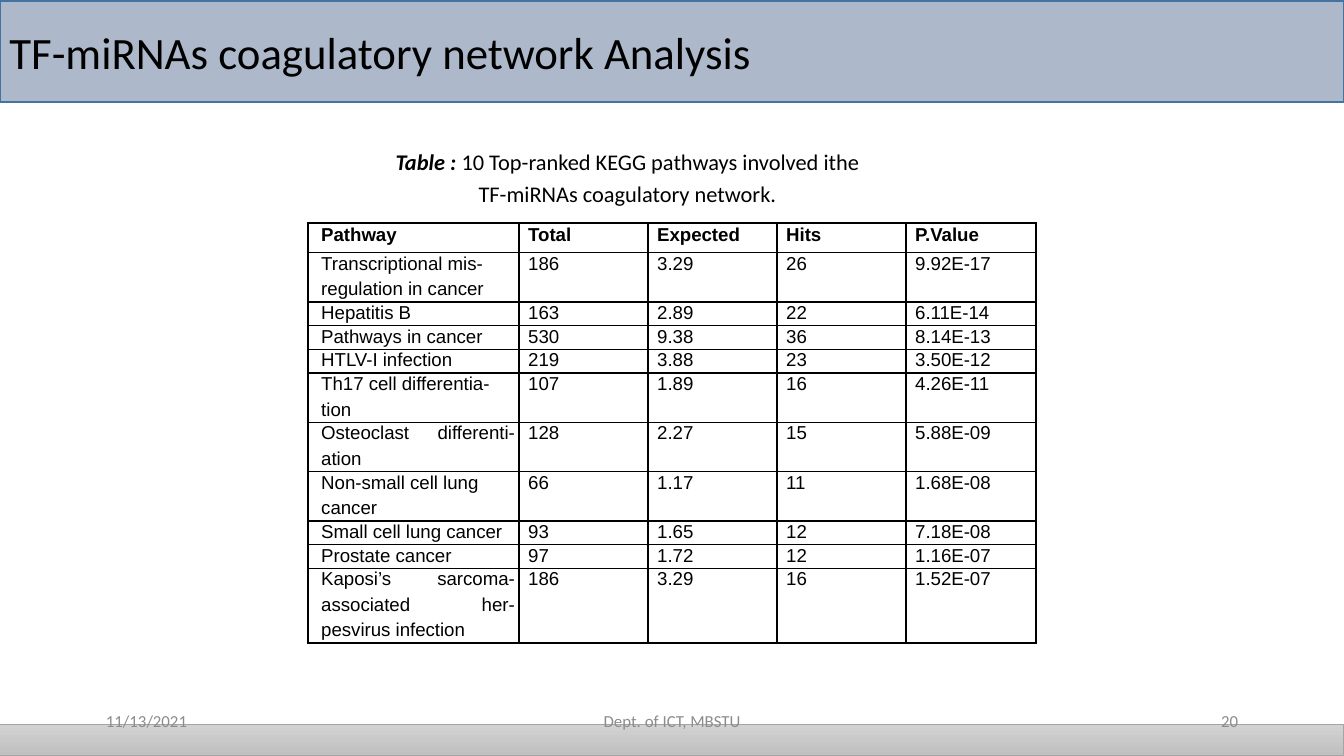
from dataclasses import dataclass

from lxml import etree
from pptx import Presentation
from pptx.dml.color import RGBColor
from pptx.enum.shapes import MSO_SHAPE
from pptx.enum.text import MSO_ANCHOR, PP_ALIGN
from pptx.oxml.ns import qn
from pptx.util import Inches, Pt

RECTANGLE = MSO_SHAPE.RECTANGLE
LEFT, CENTER, RIGHT = PP_ALIGN.LEFT, PP_ALIGN.CENTER, PP_ALIGN.RIGHT
TOP, MIDDLE, BOTTOM = MSO_ANCHOR.TOP, MSO_ANCHOR.MIDDLE, MSO_ANCHOR.BOTTOM
PLAIN_TABLE_STYLE = "{2D5ABB26-0587-4C30-8999-92F81FD0307C}"


@dataclass(frozen=True)
class Theme:
    ink: str = "000000"
    muted: str = "8C8C8C"
    band: str = "ADB9CA"
    band_line: str = "43739E"
    strip_top: str = "D2D2D2"
    strip_bottom: str = "C0C0C0"
    strip_line: str = "A5A5A5"
    body_font: str = "Calibri"
    table_font: str = "Arial"
    title_size: float = 24
    caption_size: float = 12
    table_size: float = 10
    footer_size: float = 9
    spacer_size: float = 1


@dataclass(frozen=True)
class Pathway:
    """Each name line is (start, end); an end is set flush right."""
    lines: tuple
    values: tuple
    bold: bool = False
    first_height: float = 0.16
    spacer_height: float = 0.01


@dataclass(frozen=True)
class Footer:
    text: str
    left: float
    width: float
    align: PP_ALIGN


THEME = Theme()
COLUMNS = (0.81, 0.76, 0.96, 0.96, 0.96, 0.97)
CONTINUATION_HEIGHT = 0.19

PATHWAYS = (
    Pathway((("Pathway", ""),), ("Total", "Expected", "Hits", "P.Value"),
            bold=True, first_height=0.17, spacer_height=0.05),
    Pathway((("Transcriptional mis-", ""), ("regulation in cancer", "")),
            ("186", "3.29", "26", "9.92E-17")),
    Pathway((("Hepatitis B", ""),), ("163", "2.89", "22", "6.11E-14")),
    Pathway((("Pathways in cancer", ""),), ("530", "9.38", "36", "8.14E-13")),
    Pathway((("HTLV-I infection", ""),), ("219", "3.88", "23", "3.50E-12")),
    Pathway((("Th17 cell differentia-", ""), ("tion", "")),
            ("107", "1.89", "16", "4.26E-11")),
    Pathway((("Osteoclast", "differenti-"), ("ation", "")),
            ("128", "2.27", "15", "5.88E-09")),
    Pathway((("Non-small cell lung", ""), ("cancer", "")),
            ("66", "1.17", "11", "1.68E-08")),
    Pathway((("Small cell lung cancer", ""),), ("93", "1.65", "12", "7.18E-08")),
    Pathway((("Prostate cancer", ""),), ("97", "1.72", "12", "1.16E-07")),
    Pathway((("Kaposi’s", "sarcoma-"), ("associated", "her-"),
             ("pesvirus infection", "")),
            ("186", "3.29", "16", "1.52E-07")),
)

FOOTERS = (
    Footer("11/13/2021", 0.69, 2.25, LEFT),
    Footer("20", 7.06, 2.25, RIGHT),
    Footer("Dept. of ICT, MBSTU", 3.31, 3.38, CENTER),
)


def color(value: str) -> RGBColor:
    return RGBColor.from_string(value)


def write(paragraph, text: str, *, size: float, font: str = THEME.body_font,
          ink: str = THEME.ink, bold: bool = False, italic: bool = False,
          align: PP_ALIGN = LEFT, indent: float = 0, right_indent: float = 0,
          spacing=None) -> None:
    paragraph.alignment = align
    for side, inset in (("marL", indent), ("marR", right_indent)):
        if inset:
            paragraph._p.get_or_add_pPr().set(side, str(Inches(inset)))
    if spacing:
        paragraph.line_spacing = spacing
    run = paragraph.add_run()
    run.text = text
    run.font.name, run.font.size = font, Pt(size)
    run.font.bold, run.font.italic = bold, italic
    run.font.color.rgb = color(ink)


def add_bar(slide, top: float, height: float, line: str, weight: float):
    bar = slide.shapes.add_shape(RECTANGLE, 0, Inches(top), Inches(10), Inches(height))
    bar.shadow.inherit = False
    bar.line.color.rgb, bar.line.width = color(line), Pt(weight)
    return bar


def add_text_box(slide, left: float, top: float, width: float, height: float,
                 anchor: MSO_ANCHOR):
    box = slide.shapes.add_textbox(Inches(left), Inches(top), Inches(width), Inches(height))
    box.text_frame.word_wrap = True
    box.text_frame.vertical_anchor = anchor
    return box.text_frame.paragraphs[0]


def format_cell(cell, ruled_sides: str) -> None:
    cell.margin_left = cell.margin_right = cell.margin_top = cell.margin_bottom = 0
    cell.vertical_anchor = BOTTOM
    properties = cell._tc.get_or_add_tcPr()
    for side in "LRTB":
        line = etree.SubElement(properties, qn(f"a:ln{side}"), w=str(Pt(1)))
        if side in ruled_sides:
            fill = etree.SubElement(line, qn("a:solidFill"))
            etree.SubElement(fill, qn("a:srgbClr"), val=THEME.ink)
        else:
            etree.SubElement(line, qn("a:noFill"))
    cell.fill.background()


def fill_row(table, row: int, texts: tuple, pathway: Pathway, first: bool, last: bool) -> None:
    edges = ("T" if first else "") + ("B" if last else "")
    joined = not texts[1]
    for column, text in enumerate(texts):
        cell = table.cell(row, column)
        sides = {0: "L", 1: "R"}.get(column, "LR")
        format_cell(cell, ("LR" if joined and column == 0 else sides) + edges)
        paragraph = cell.text_frame.paragraphs[0]
        if text:
            name_end = column == 1
            write(paragraph, text, size=THEME.table_size, font=THEME.table_font,
                  bold=pathway.bold, align=RIGHT if name_end else LEFT,
                  indent={0: 0.1, 1: 0}.get(column, 0.07),
                  right_indent=0.03 if name_end else 0,
                  spacing=Pt(11.4) if first and not pathway.bold else None)
        else:
            paragraph.line_spacing = Pt(THEME.spacer_size)
            etree.SubElement(paragraph._p, qn("a:endParaRPr"),
                             sz=str(int(THEME.spacer_size * 100)))
    if joined:
        table.cell(row, 0).merge(table.cell(row, 1))


def add_pathway_table(slide, left: float, top: float, height: float) -> None:
    row_count = sum(len(pathway.lines) + 1 for pathway in PATHWAYS)
    frame = slide.shapes.add_table(row_count, len(COLUMNS), Inches(left), Inches(top),
                                   Inches(sum(COLUMNS)), Inches(height))
    table = frame.table
    table.first_row = table.horz_banding = False
    table._tbl.tblPr.find(qn("a:tableStyleId")).text = PLAIN_TABLE_STYLE
    for column, width in zip(table.columns, COLUMNS):
        column.width = Inches(width)

    row = 0
    for pathway in PATHWAYS:
        blank = ("",) * len(pathway.values)
        # Name lines, then a thin spacer row that closes the group
        for index, name in enumerate((*pathway.lines, ("", ""))):
            first, last = index == 0, index == len(pathway.lines)
            row_height = (pathway.first_height if first else
                          pathway.spacer_height if last else CONTINUATION_HEIGHT)
            table.rows[row].height = Inches(row_height)
            fill_row(table, row, name + (pathway.values if first else blank),
                     pathway, first, last)
            row += 1
    frame.height = Inches(height)


def main() -> None:
    deck = Presentation()
    deck.slide_width, deck.slide_height = Inches(10), Inches(10 * 9 / 16)
    slide = deck.slides.add_slide(deck.slide_layouts[6])

    # Title band
    band = add_bar(slide, 0.01, 0.75, THEME.band_line, 1)
    band.fill.solid()
    band.fill.fore_color.rgb = color(THEME.band)
    title = band.text_frame
    title.word_wrap, title.vertical_anchor = True, MIDDLE
    title.margin_left = title.margin_right = Inches(0.07)
    title.margin_top = title.margin_bottom = Inches(0.04)
    write(title.paragraphs[0], "TF-miRNAs coagulatory network Analysis", size=THEME.title_size)

    # Pathway table
    add_pathway_table(slide, 2.29, 1.66, 3.24)

    # Bottom strip
    strip = add_bar(slide, 5.39, 0.23, THEME.strip_line, 0.5)
    strip.fill.gradient()
    strip.fill.gradient_angle = 270
    for stop, shade in zip(strip.fill.gradient_stops, (THEME.strip_top, THEME.strip_bottom)):
        stop.color.rgb = color(shade)

    # Table caption
    caption = add_text_box(slide, 2.17, 1.02, 5, 0.57, TOP)
    layout = dict(size=THEME.caption_size, align=CENTER, indent=0.61, right_indent=0.61,
                  spacing=1.17)
    write(caption, "Table : ", bold=True, italic=True, **layout)
    write(caption, "10 Top-ranked KEGG pathways involved ithe TF-miRNAs coagulatory network.",
          **layout)

    # Footer
    for footer in FOOTERS:
        paragraph = add_text_box(slide, footer.left, 5.21, footer.width, 0.3, MIDDLE)
        write(paragraph, footer.text, size=THEME.footer_size, ink=THEME.muted, align=footer.align)

    deck.save("out.pptx")


if __name__ == "__main__":
    main()
